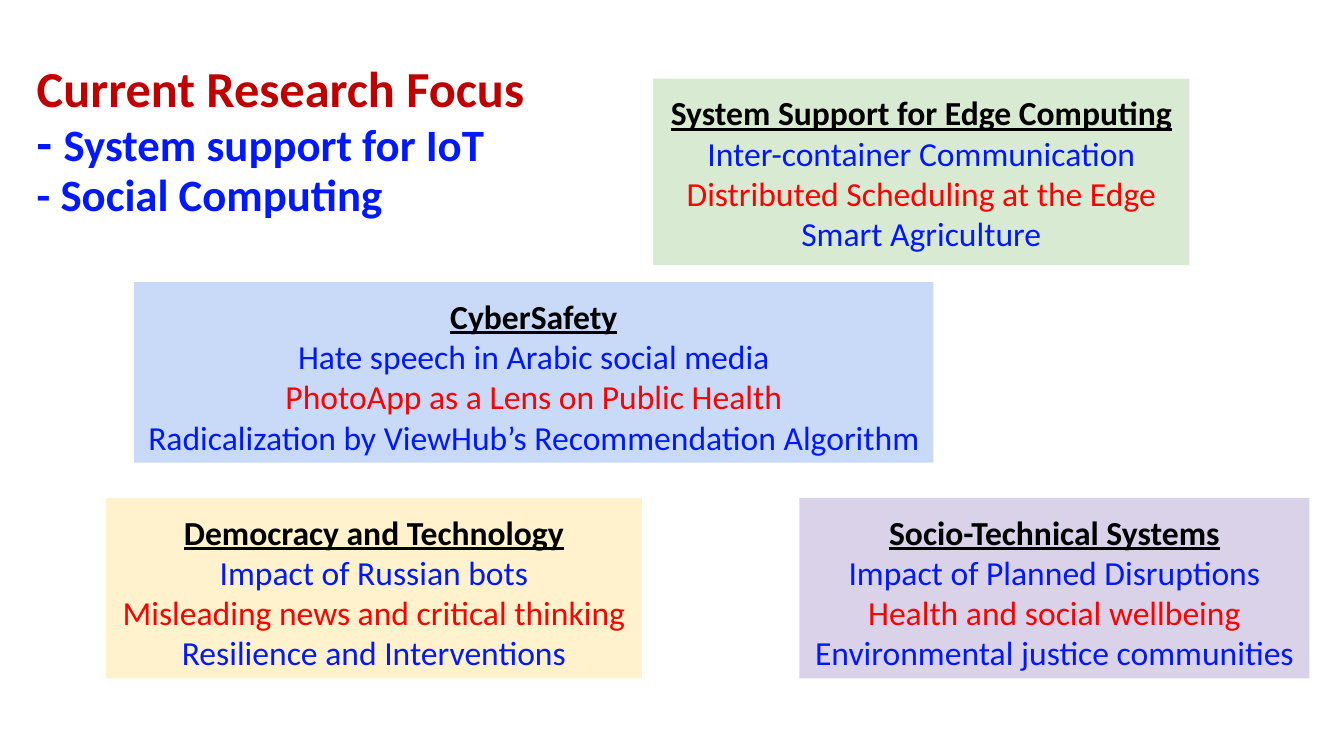
"""Build the slide that outlines the current research focus areas."""
from typing import NamedTuple

from pptx import Presentation
from pptx.dml.color import RGBColor
from pptx.enum.shapes import MSO_SHAPE as Preset
from pptx.enum.text import MSO_ANCHOR as Anchor, PP_ALIGN as Align
from pptx.util import Pt

BLACK = RGBColor(0x00, 0x00, 0x00)
BLUE = RGBColor(0x00, 0x18, 0xFF)
RED = RGBColor(0xFF, 0x00, 0x00)
DARK_RED = RGBColor(0xC0, 0x00, 0x00)
PALE_BLUE = RGBColor(0xC9, 0xDA, 0xF8)
PALE_GREEN = RGBColor(0xD9, 0xEA, 0xD3)
PALE_YELLOW = RGBColor(0xFF, 0xF2, 0xCC)
PALE_PURPLE = RGBColor(0xD9, 0xD2, 0xE9)

INSET = Pt(9.6)
FRAME_FORMAT = {
    "margin_left": INSET,
    "margin_top": INSET,
    "margin_right": INSET,
    "margin_bottom": INSET,
    "word_wrap": True,
    "vertical_anchor": Anchor.TOP,
}
HEADING_FORMAT = {"name": "Calibri", "size": Pt(24), "bold": True, "underline": True}
TOPIC_FORMAT = {"name": "Calibri", "size": Pt(24), "bold": False, "underline": False}
TITLE_FORMAT = {"name": "Calibri", "size": Pt(36), "bold": True}
FOCUS_FORMAT = TITLE_FORMAT | {"size": Pt(32)}
TOPIC_COLORS = (BLUE, RED, BLUE)


class Box(NamedTuple):
    """Position and size in points."""

    left: float
    top: float
    width: float
    height: float


class ResearchArea(NamedTuple):
    """A filled panel with a heading and its topics."""

    box: Box
    fill: RGBColor
    heading: str
    topics: tuple[str, str, str]


class TextPiece(NamedTuple):
    """Text with one colour and one font format."""

    text: str
    color: RGBColor
    font_format: dict


TITLE_BOX = Box(16.6, 36, 395.3, 143.3)
TITLE_LINES = (
    (TextPiece("Current Research Focus", DARK_RED, TITLE_FORMAT),),
    (
        TextPiece("- ", BLUE, TITLE_FORMAT),
        TextPiece("System support for IoT", BLUE, FOCUS_FORMAT),
    ),
    (TextPiece("- Social Computing", BLUE, FOCUS_FORMAT),),
)
AREAS = (
    ResearchArea(
        Box(95.8, 201.6, 571, 128.9), PALE_BLUE, "CyberSafety",
        ("Hate speech in Arabic social media",
         "PhotoApp as a Lens on Public Health",
         "Radicalization by ViewHub’s Recommendation Algorithm"),
    ),
    ResearchArea(
        Box(466.6, 56.2, 383, 133.2), PALE_GREEN, "System Support for Edge Computing",
        ("Inter-container Communication",
         "Distributed Scheduling at the Edge",
         "Smart Agriculture"),
    ),
    ResearchArea(
        Box(75.6, 355.7, 383, 128.9), PALE_YELLOW, "Democracy and Technology",
        ("Impact of Russian bots",
         "Misleading news and critical thinking",
         "Resilience and Interventions"),
    ),
    ResearchArea(
        Box(571, 355.7, 364.3, 128.9), PALE_PURPLE, "Socio-Technical Systems",
        ("Impact of Planned Disruptions",
         "Health and social wellbeing",
         "Environmental justice communities"),
    ),
)


def apply_format(target: object, values: dict) -> None:
    """Set every attribute named in the format values."""
    for name, value in values.items():
        setattr(target, name, value)


def write_lines(shape, lines: tuple, paragraph_format: dict) -> None:
    """Write one paragraph per line and one run per text piece."""
    frame = shape.text_frame
    apply_format(frame, FRAME_FORMAT)
    for index, pieces in enumerate(lines):
        paragraph = frame.add_paragraph() if index else frame.paragraphs[0]
        apply_format(paragraph, paragraph_format)
        for piece in pieces:
            run = paragraph.add_run()
            run.text = piece.text
            apply_format(run.font, piece.font_format)
            run.font.color.rgb = piece.color


def draw_title(slide) -> None:
    """Draw the slide title with its two focus lines."""
    shape = slide.shapes.add_textbox(*map(Pt, TITLE_BOX))
    write_lines(shape, TITLE_LINES, {"alignment": Align.LEFT, "line_spacing": 0.9})


def draw_area(slide, area: ResearchArea) -> None:
    """Draw one research area panel."""
    shape = slide.shapes.add_shape(Preset.RECTANGLE, *map(Pt, area.box))
    shape.shadow.inherit = False
    shape.fill.solid()
    shape.fill.fore_color.rgb = area.fill
    shape.line.fill.background()
    heading = (TextPiece(area.heading, BLACK, HEADING_FORMAT),)
    topics = tuple(
        (TextPiece(topic, color, TOPIC_FORMAT),)
        for topic, color in zip(area.topics, TOPIC_COLORS)
    )
    write_lines(shape, (heading, *topics), {"alignment": Align.CENTER})


def main() -> None:
    """Build and save the presentation."""
    presentation = Presentation()
    apply_format(presentation, {"slide_width": Pt(960), "slide_height": Pt(540)})
    slide = presentation.slides.add_slide(presentation.slide_layouts[6])
    draw_title(slide)
    for area in AREAS:
        draw_area(slide, area)
    presentation.save("out.pptx")


if __name__ == "__main__":
    main()
